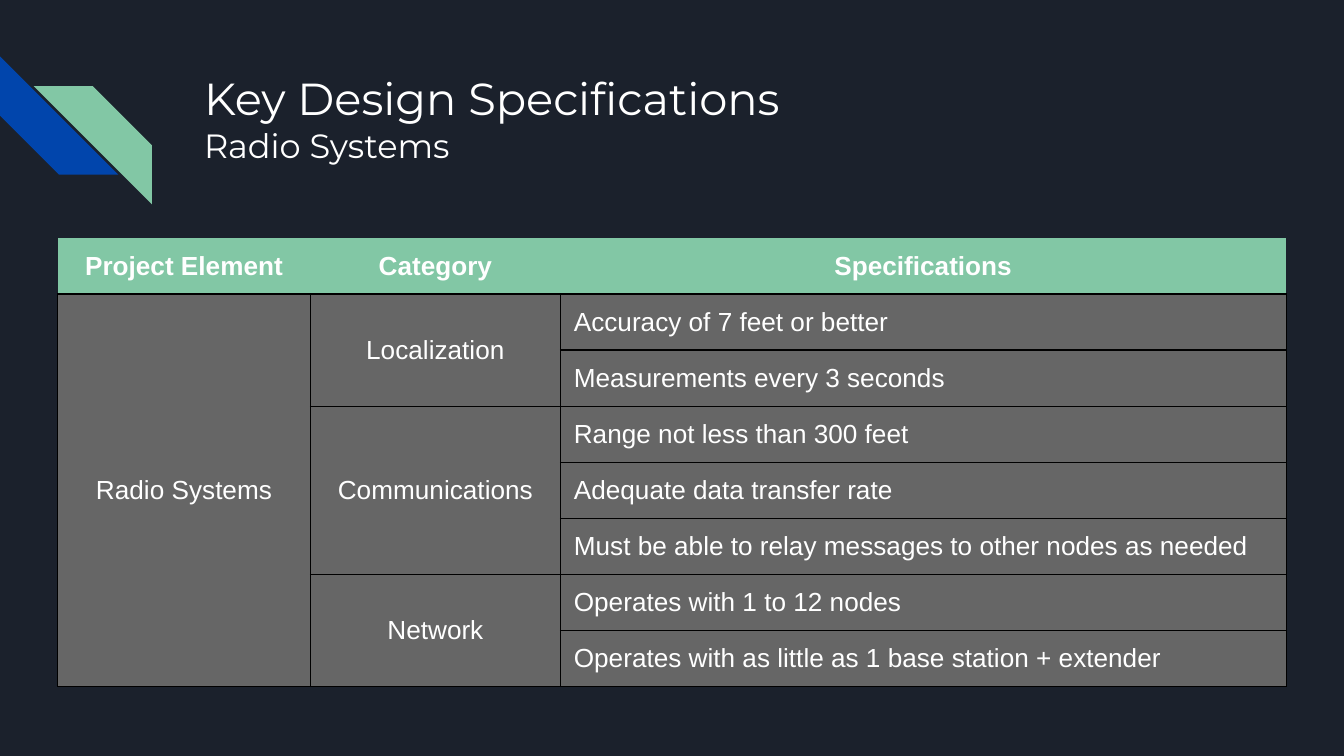
import pptx
import pptx.dml.color
import pptx.enum.shapes
import pptx.enum.text
import pptx.oxml
import pptx.oxml.ns
import pptx.util
from dataclasses import dataclass

Inches = pptx.util.Inches
Shape = pptx.enum.shapes.MSO_SHAPE
Anchor = pptx.enum.text.MSO_ANCHOR
Align = pptx.enum.text.PP_ALIGN


@dataclass(frozen=True)
class Theme:
    back: str = "1B212C"
    blue: str = "0145AC"
    green: str = "82C7A5"
    gray: str = "666666"
    text: str = "FFFFFF"
    line: str = "000000"
    head: str = "Montserrat"
    body: str = "Arial"
    title: int = 24
    sub: int = 18
    cell: int = 14
    rule: float = 0.75


THEME = Theme()
WIDTHS = (1.88, 1.86, 5.4)
HEIGHT = 3.34
HEADS = ("Project Element", "Category", "Specifications")
SYSTEM = "Radio Systems"
SPECS = {
    "Localization": (
        "Accuracy of 7 feet or better",
        "Measurements every 3 seconds",
    ),
    "Communications": (
        "Range not less than 300 feet",
        "Adequate data transfer rate",
        "Must be able to relay messages to other nodes as needed",
    ),
    "Network": (
        "Operates with 1 to 12 nodes",
        "Operates with as little as 1 base station + extender",
    ),
}


def paint(fill, color):
    fill.solid()
    fill.fore_color.rgb = pptx.dml.color.RGBColor.from_string(color)


def style(font, color=THEME.text, **values):
    for key, value in values.items():
        setattr(font, key, value)
    font.color.rgb = pptx.dml.color.RGBColor.from_string(color)


def pad(item, high=0.1):
    sides = {"left": 0.1, "right": 0.1, "top": high, "bottom": high}
    for side, size in sides.items():
        setattr(item, f"margin_{side}", Inches(size))


def stripe(slide, left, top, turn, color):
    item = slide.shapes.add_shape(
        Shape.DIAGONAL_STRIPE, Inches(left), Inches(top), Inches(0.88), Inches(0.88))
    item.rotation = turn
    item.shadow.inherit = False
    paint(item.fill, color)
    item.line.fill.background()


def title(slide, lines):
    frame = slide.shapes.add_textbox(
        Inches(1.42), Inches(0.43), Inches(7.7), Inches(1)).text_frame
    frame.word_wrap = True
    pad(frame)
    frame.text = "\n".join(text for text, size in lines)
    for para, (text, size) in zip(frame.paragraphs, lines):
        style(para.runs[0].font, name=THEME.head, size=pptx.util.Pt(size))


def border(cell, sides):
    """Draw the given sides (of L, R, T, B) and clear the others."""
    props = cell._tc.get_or_add_tcPr()
    space = pptx.oxml.ns.nsdecls("a")
    for side in "LRTB":
        ink = "<a:noFill/>"
        if side in sides:
            ink = f'<a:solidFill><a:srgbClr val="{THEME.line}"/></a:solidFill>'
        props.append(pptx.oxml.parse_xml(
            f'<a:ln{side} {space} w="{pptx.util.Pt(THEME.rule)}">{ink}</a:ln{side}>'))


def write(cell, text, align=Align.CENTER, bold=False):
    cell.text = text
    cell.vertical_anchor = Anchor.MIDDLE
    para = cell.text_frame.paragraphs[0]
    para.alignment = align
    para.line_spacing = 1.0
    style(para.runs[0].font, name=THEME.body,
          size=pptx.util.Pt(THEME.cell), bold=bold)


def grid(slide):
    count = 1 + sum(len(specs) for specs in SPECS.values())
    table = slide.shapes.add_table(
        count, len(WIDTHS), Inches(0.43), Inches(1.77),
        Inches(sum(WIDTHS)), Inches(HEIGHT)).table
    table.horz_banding = False
    for col, width in zip(table.columns, WIDTHS):
        col.width = Inches(width)
    for index, row in enumerate(table.rows):
        row.height = Inches(HEIGHT / count)
        for cell in row.cells:
            pad(cell, 0.09)
            border(cell, "LRTB" if index else "B")
            paint(cell.fill, THEME.gray if index else THEME.green)

    # Header, then one merged block per category
    for col, text in enumerate(HEADS):
        write(table.cell(0, col), text, bold=True)
    table.cell(1, 0).merge(table.cell(count - 1, 0))
    write(table.cell(1, 0), SYSTEM)
    top = 1
    for name, specs in SPECS.items():
        table.cell(top, 1).merge(table.cell(top + len(specs) - 1, 1))
        write(table.cell(top, 1), name)
        for row, text in enumerate(specs, top):
            write(table.cell(row, 2), text, Align.LEFT)
        top += len(specs)


def main():
    deck = pptx.Presentation()
    deck.slide_width, deck.slide_height = Inches(10), Inches(10 * 9 / 16)
    slide = deck.slides.add_slide(deck.slide_layouts[6])
    paint(slide.background.fill, THEME.back)

    # Corner stripes
    stripe(slide, 0, 0.42, 270, THEME.blue)
    stripe(slide, 0.25, 0.64, 90, THEME.green)

    # Heading and table
    title(slide, (("Key Design Specifications", THEME.title), (SYSTEM, THEME.sub)))
    grid(slide)
    deck.save("out.pptx")


if __name__ == "__main__":
    main()
